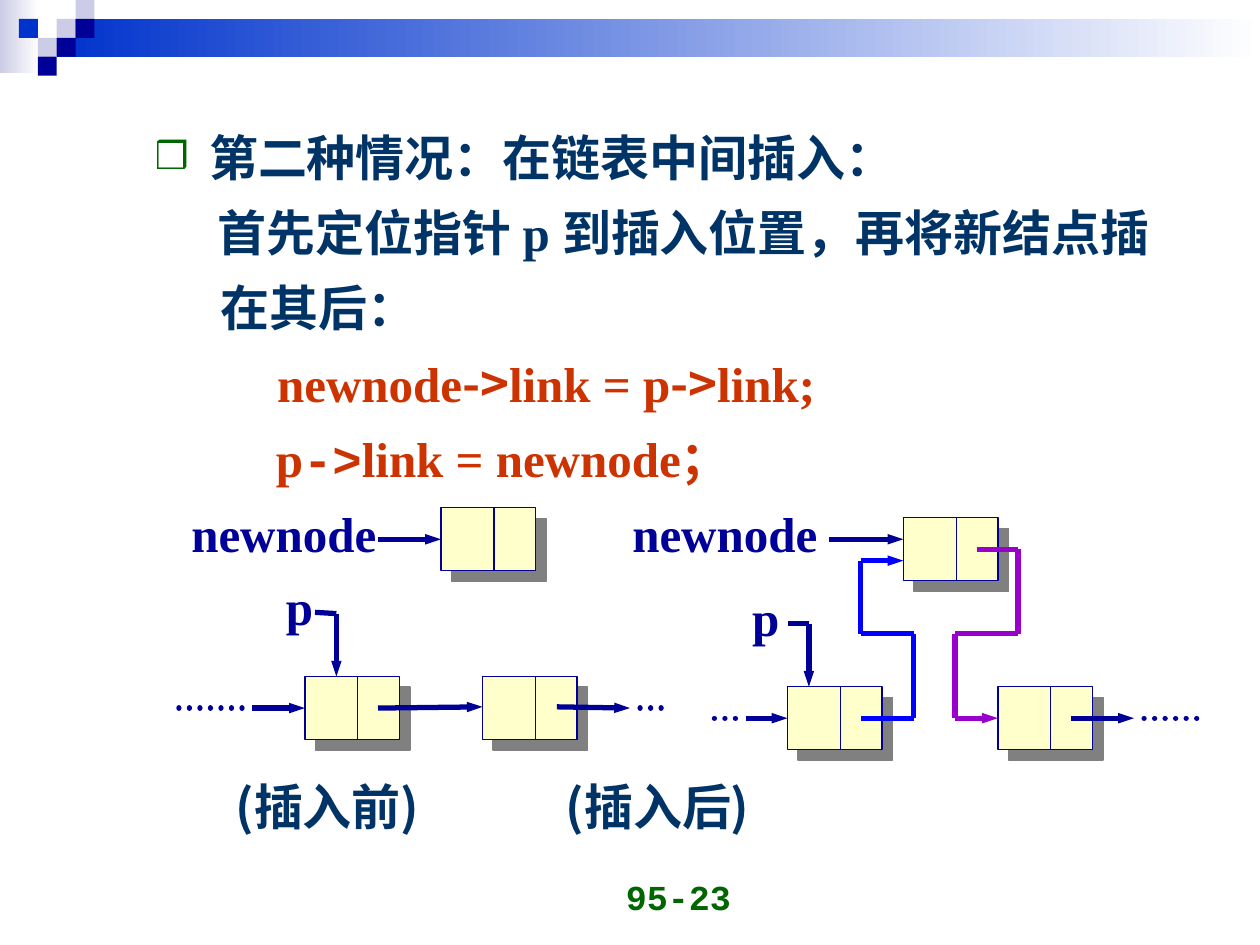
from lxml.etree import SubElement
from pptx import Presentation
from pptx.dml.color import RGBColor
from pptx.enum.shapes import MSO_CONNECTOR, MSO_SHAPE
from pptx.enum.text import MSO_ANCHOR, PP_ALIGN
from pptx.oxml.ns import qn
from pptx.util import Inches, Pt

NAVY = RGBColor(0x00, 0x00, 0x99)
BLUE = RGBColor(0x00, 0x33, 0xCC)
LAVENDER = RGBColor(0xCC, 0xCC, 0xE6)
WHITE = RGBColor(0xFF, 0xFF, 0xFF)
CREAM = RGBColor(0xFF, 0xFF, 0xCC)
INK = RGBColor(0x00, 0x33, 0x66)
GREEN = RGBColor(0x00, 0x66, 0x00)
CODE_RED = RGBColor(0xCC, 0x33, 0x00)
LINK_BLUE = RGBColor(0x00, 0x00, 0xFF)
PURPLE = RGBColor(0x99, 0x00, 0xCC)

SERIF, SANS, MONO = "Times New Roman", "Noto Sans CJK SC", "Courier New"
NODE_W, NODE_H, FIELD_X = 0.75, 0.5, 0.42
TILE = 0.15


def add_xml(parent, tag, **attributes):
    return SubElement(parent, qn(tag), attributes)


def style_run(run, font_name, color, size=28):
    font = run.font
    font.name, font.size, font.bold = font_name, Pt(size), True
    font.color.rgb = color
    add_xml(run._r.get_or_add_rPr(), "a:ea", typeface=SANS)


def add_block(slide, left, top, width, height, color, fade=False):
    """Add a borderless rectangle, optionally fading to white on the right."""
    block = slide.shapes.add_shape(
        MSO_SHAPE.RECTANGLE, Inches(left), Inches(top), Inches(width), Inches(height))
    block.shadow.inherit = False
    block.line.fill.background()
    if fade:
        block.fill.gradient()
        block.fill.gradient_angle = 0
        for stop, stop_color in zip(block.fill.gradient_stops, (color, WHITE)):
            stop.color.rgb = stop_color
    else:
        block.fill.solid()
        block.fill.fore_color.rgb = color
    return block


def add_banner(slide):
    add_block(slide, 0, 0, 0.31, 0.58, LAVENDER, fade=True)
    add_block(slide, 0.45, 0.15, 9.55, 0.3, BLUE, fade=True)
    tiles = [(3, 1, LAVENDER), (4, 0, LAVENDER), (4, 1, NAVY), (2, 2, LAVENDER),
             (1, 1, BLUE), (3, 2, NAVY), (2, 3, NAVY)]
    for column, row, color in tiles:
        add_block(slide, column * TILE, row * TILE, TILE, TILE, color)


def add_label(slide, text, left, top, width, height,
              font_name=SERIF, color=NAVY, size=28, wrap=False):
    label = slide.shapes.add_textbox(
        Inches(left), Inches(top), Inches(width), Inches(height))
    frame = label.text_frame
    frame.word_wrap = wrap
    frame.text = text
    for run in frame.paragraphs[0].runs:
        style_run(run, font_name, color, size)
    return frame


def add_line(slide, start, end, color=NAVY, width=3, arrow=False, dotted=False):
    line = slide.shapes.add_connector(
        MSO_CONNECTOR.STRAIGHT, *(Inches(value) for value in (*start, *end)))
    line.line.color.rgb = color
    line.line.width = Pt(width)
    properties = line.line._get_or_add_ln()
    if dotted:
        properties.set("cap", "rnd")
        add_xml(properties, "a:prstDash", val="sysDot")
    if arrow:
        add_xml(properties, "a:tailEnd", type="triangle", w="sm", len="med")
    add_xml(line._element.spPr, "a:effectLst")


def add_route(slide, points, color=NAVY):
    """Join the points with straight lines, the last one ending in an arrow."""
    legs = list(zip(points, points[1:]))
    for start, end in legs:
        add_line(slide, start, end, color, arrow=(start, end) == legs[-1])


def add_node(slide, left, top):
    """Add a list node: data field, link field and a hard offset shadow."""
    node = add_block(slide, left, top, NODE_W, NODE_H, CREAM)
    node.line.color.rgb = NAVY
    node.line.width = Pt(0.75)
    effects = node._element.spPr.find(qn("a:effectLst"))
    shadow = add_xml(effects, "a:outerShdw", dist=str(Pt(8.5)), dir="2700000",
                     algn="ctr", rotWithShape="0")
    add_xml(shadow, "a:srgbClr", val="808080")
    divider = left + FIELD_X
    add_line(slide, (divider, top), (divider, top + NODE_H), width=0.75)


def fill_body(slide):
    body = slide.placeholders[1]
    body.left, body.top, body.width, body.height = (
        Inches(value) for value in (0.63, 0.83, 8.82, 5.92))
    frame = body.text_frame
    frame.vertical_anchor = MSO_ANCHOR.TOP
    lines = [
        (0.93, INK, [("第二种情况：在链表中间插入：", SERIF)]),
        (1, INK, [("首先定位指针 p 到插入位置，再将新结点插", SERIF)]),
        (1.02, INK, [("在其后：", SERIF)]),
        (1.47, CODE_RED, [("newnode", SERIF), ("->", SANS), ("link = p", SERIF),
                          ("->", SANS), ("link;", SERIF)]),
        (1.46, CODE_RED, [("p", SERIF), ("->", MONO), ("link = newnode；", SERIF)]),
    ]
    for index, (indent, color, parts) in enumerate(lines):
        paragraph = frame.add_paragraph() if index else frame.paragraphs[0]
        paragraph.line_spacing = Pt(43)
        paragraph.space_before = Pt(0)
        properties = paragraph._p.get_or_add_pPr()
        properties.set("marL", str(Inches(indent)))
        if index:
            properties.set("indent", "0")
            add_xml(properties, "a:buNone")
        else:
            properties.set("indent", str(Inches(-0.43)))
            bullet_color = add_xml(properties, "a:buClr")
            add_xml(bullet_color, "a:srgbClr", val=str(GREEN))
            add_xml(properties, "a:buSzPct", val="77000")
            add_xml(properties, "a:buChar", char="❒")
        for text, font_name in parts:
            run = paragraph.add_run()
            run.text = text
            style_run(run, font_name, color)


def add_before_diagram(slide):
    for left, top in [(3.5, 4.03), (2.42, 5.37), (3.83, 5.37)]:
        add_node(slide, left, top)
    add_label(slide, "newnode", 1.42, 3.95, 1.68, 0.57)
    add_label(slide, "p", 2.17, 4.53, 0.41, 0.57)
    add_route(slide, [(3, 4.28), (3.5, 4.28)])
    add_route(slide, [(2.5, 4.86), (2.67, 4.87), (2.67, 5.37)])
    add_line(slide, (1.42, 5.62), (2, 5.62), dotted=True)
    add_route(slide, [(2, 5.62), (2.42, 5.62)])
    add_route(slide, [(3, 5.62), (3.83, 5.61)])
    add_route(slide, [(4.42, 5.61), (5, 5.62)])
    add_line(slide, (5.08, 5.62), (5.33, 5.62), dotted=True)


def add_after_diagram(slide):
    for left, top in [(7.17, 4.11), (6.25, 5.45), (7.92, 5.45)]:
        add_node(slide, left, top)
    add_label(slide, "newnode", 4.92, 3.95, 1.68, 0.57)
    add_label(slide, "p", 5.87, 4.61, 0.41, 0.57)
    add_route(slide, [(6.58, 4.28), (7.17, 4.28)])
    add_route(slide, [(6.25, 4.95), (6.42, 4.95), (6.42, 5.45)])
    add_line(slide, (5.67, 5.7), (5.92, 5.7), dotted=True)
    add_route(slide, [(5.92, 5.7), (6.25, 5.7)])
    add_route(slide, [(6.83, 5.7), (7.25, 5.7), (7.25, 5.03), (6.83, 5.03),
                      (6.83, 4.45), (7.17, 4.45)], LINK_BLUE)
    add_route(slide, [(7.75, 4.36), (8.08, 4.36), (8.08, 5.03), (7.58, 5.03),
                      (7.58, 5.7), (7.92, 5.7)], PURPLE)
    add_route(slide, [(8.5, 5.7), (9, 5.7)])
    add_line(slide, (9.08, 5.7), (9.58, 5.7), dotted=True)


def add_captions(slide):
    frame = add_label(slide, "(插入前)\t(插入后)", 1.75, 6.1, 6.46, 0.59,
                      SANS, INK, wrap=True)
    frame.margin_left = frame.margin_right = Inches(0.12)
    frame.margin_top = frame.margin_bottom = Inches(0.06)
    properties = frame.paragraphs[0]._p.get_or_add_pPr()
    tabs = add_xml(properties, "a:tabLst")
    add_xml(tabs, "a:tab", pos=str(Inches(2.62)), algn="l")


def add_page_number(slide):
    frame = add_label(slide, "95-23", 3.57, 6.83, 2.33, 0.5, MONO, GREEN, 20, wrap=True)
    frame.vertical_anchor = MSO_ANCHOR.BOTTOM
    frame.paragraphs[0].alignment = PP_ALIGN.RIGHT


def main():
    presentation = Presentation()
    presentation.slide_width, presentation.slide_height = Inches(10), Inches(7.5)
    slide = presentation.slides.add_slide(presentation.slide_layouts[1])
    title = slide.shapes.title._element
    title.getparent().remove(title)
    add_banner(slide)
    add_page_number(slide)
    fill_body(slide)
    add_before_diagram(slide)
    add_after_diagram(slide)
    add_captions(slide)
    presentation.save("out.pptx")


if __name__ == "__main__":
    main()
